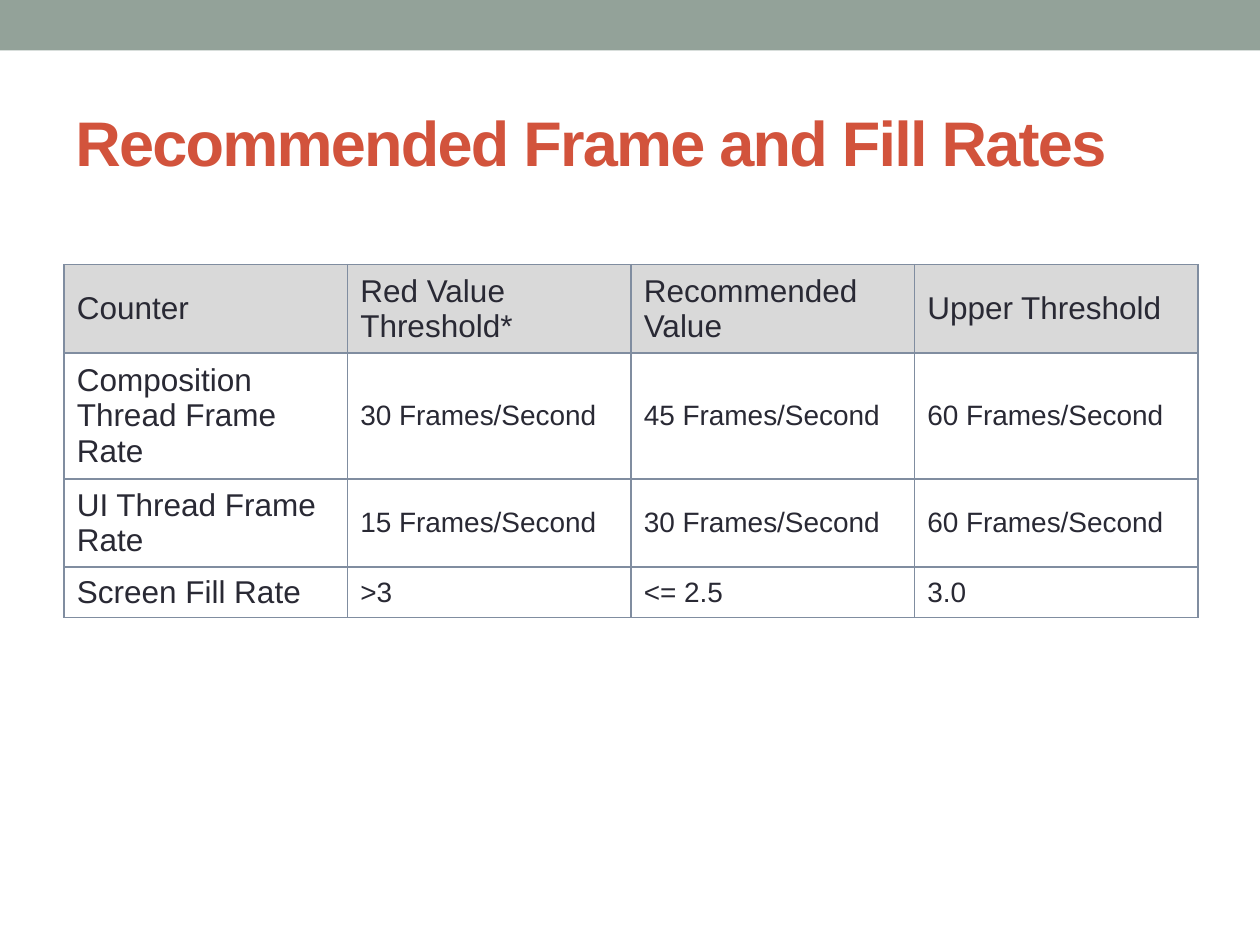
from pptx import Presentation
from pptx.dml.color import RGBColor
from pptx.enum.shapes import MSO_SHAPE
from pptx.enum.text import MSO_ANCHOR
from pptx.oxml.ns import qn
from pptx.util import Inches, Pt
from lxml import etree

RECTANGLE = MSO_SHAPE.RECTANGLE
MIDDLE = MSO_ANCHOR.MIDDLE

FONT = "Arial"
SAGE, RUST, INK = "93A299", "D2533C", "292934"
HEADER_GREY, BORDER = "D9D9D9", "808DA0"

COLUMN_WIDTH = 2.25
ROW_HEIGHTS = [0.66, 0.94, 0.66, 0.38]
RATES = [
    ["Counter", "Red Value Threshold*", "Recommended Value", "Upper Threshold"],
    ["Composition Thread Frame Rate", "30 Frames/Second", "45 Frames/Second", "60 Frames/Second"],
    ["UI Thread Frame Rate", "15 Frames/Second", "30 Frames/Second", "60 Frames/Second"],
    ["Screen Fill Rate", ">3", "<= 2.5", "3.0"],
]


def color(value):
    return RGBColor.from_string(value)


def add_span(para, text, size, ink, bold=False):
    span = para.add_run()
    span.text = text
    span.font.name = FONT
    span.font.size = Pt(size)
    span.font.bold = bold
    span.font.color.rgb = color(ink)
    return span


def add_band(page):
    band = page.shapes.add_shape(RECTANGLE, 0, 0, Inches(10), Inches(0.4))
    band.shadow.inherit = False
    band.fill.solid()
    band.fill.fore_color.rgb = color(SAGE)
    band.line.fill.background()


def add_title(page, text):
    box = page.shapes.add_textbox(Inches(0.5), Inches(0.58), Inches(9), Inches(1.08))
    frame = box.text_frame
    frame.word_wrap = True
    frame.vertical_anchor = MIDDLE
    span = add_span(frame.paragraphs[0], text, 36, RUST, bold=True)
    # Tighten letter spacing by one point
    span.font._element.set("spc", "-100")


def set_borders(cell):
    properties = cell._tc.get_or_add_tcPr()
    # Borders come before the fill in the cell properties
    for index, side in enumerate(("a:lnL", "a:lnR", "a:lnT", "a:lnB")):
        line = etree.Element(qn(side), w=str(Pt(1)))
        fill = etree.SubElement(line, qn("a:solidFill"))
        etree.SubElement(fill, qn("a:srgbClr"), val=BORDER)
        properties.insert(index, line)


def fill_cell(cell, text, size, fill):
    cell.vertical_anchor = MIDDLE
    if fill:
        cell.fill.solid()
        cell.fill.fore_color.rgb = color(fill)
    else:
        cell.fill.background()
    set_borders(cell)
    add_span(cell.text_frame.paragraphs[0], text, size, INK)


def add_rate_table(page):
    column_count = len(RATES[0])
    table = page.shapes.add_table(
        len(RATES), column_count, Inches(0.51), Inches(2.1),
        Inches(COLUMN_WIDTH * column_count), Inches(sum(ROW_HEIGHTS))).table
    table.horz_banding = False
    for column in table.columns:
        column.width = Inches(COLUMN_WIDTH)
    for row_index, (height, texts) in enumerate(zip(ROW_HEIGHTS, RATES)):
        table.rows[row_index].height = Inches(height)
        is_header = row_index == 0
        for column_index, text in enumerate(texts):
            # Labels are larger than the values
            size = 18 if is_header or column_index == 0 else 16
            fill_cell(table.cell(row_index, column_index), text, size,
                      HEADER_GREY if is_header else None)


def main():
    deck = Presentation()
    deck.slide_width, deck.slide_height = Inches(10), Inches(7.5)
    page = deck.slides.add_slide(deck.slide_layouts[6])
    add_band(page)
    add_title(page, "Recommended Frame and Fill Rates")
    add_rate_table(page)
    deck.save("out.pptx")


main()
